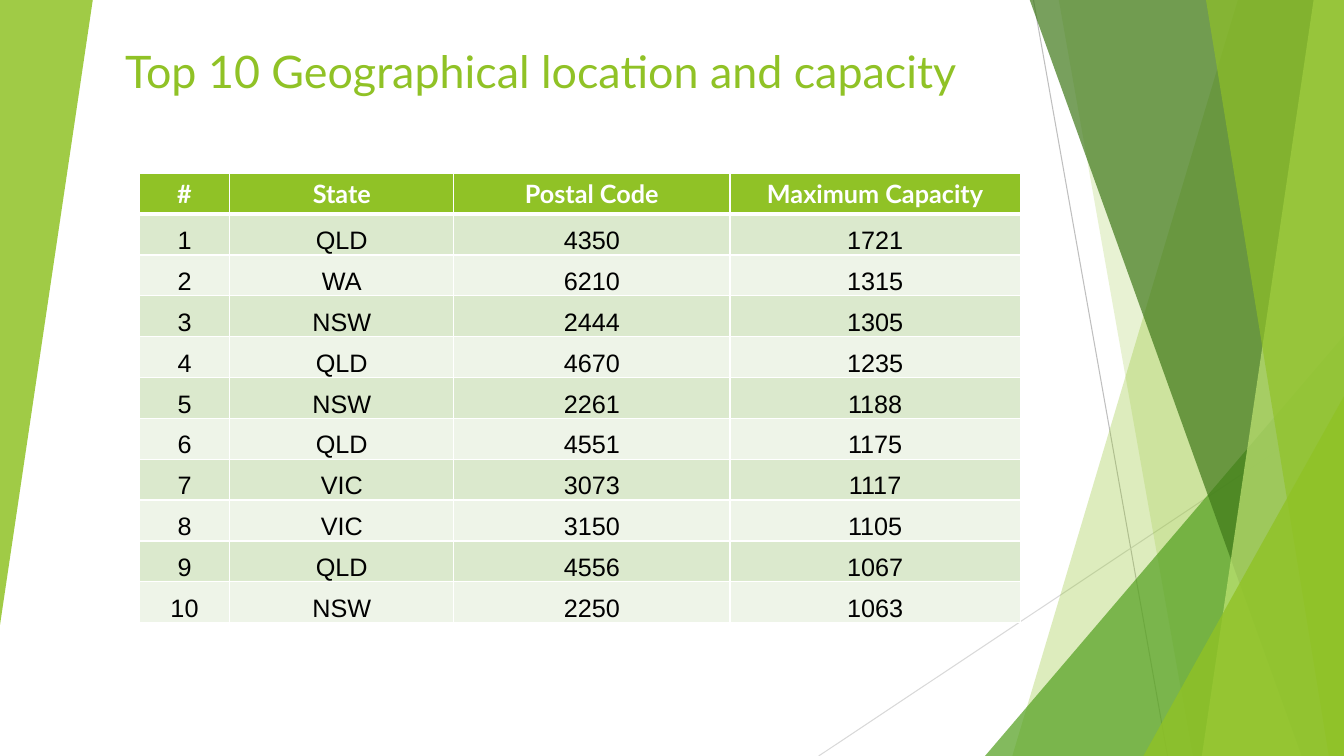
"""Build a slide with the top ten locations by maximum capacity."""
from lxml.etree import SubElement
from pptx import Presentation
from pptx.dml.color import RGBColor
from pptx.enum.shapes import MSO_CONNECTOR, MSO_SHAPE
from pptx.enum.text import MSO_ANCHOR, MSO_AUTO_SIZE, PP_ALIGN
from pptx.oxml.ns import qn
from pptx.util import Inches, Pt

GREEN = "90C226"
WIDTH, HEIGHT = 13.33, 7.5


def paint(target, colour, opacity=100):
    """Give a fill a solid colour with an opacity in percent."""
    target.solid()
    target.fore_color.rgb = RGBColor.from_string(colour)
    if opacity < 100:
        solid = target._xPr.find(qn("a:solidFill"))
        SubElement(solid[0], qn("a:alpha"), val=str(opacity * 1000))


deck = Presentation()
deck.slide_width, deck.slide_height = Inches(WIDTH), Inches(HEIGHT)
slide = deck.slides.add_slide(deck.slide_layouts[5])
shapes = slide.shapes

rays = [
    (10.25, 0, 11.58, HEIGHT, "BFBFBF"),
    (WIDTH, 4.03, 8.12, HEIGHT, "D9D9D9"),
]
for x1, y1, x2, y2, colour in rays:
    ray = shapes.add_connector(
        MSO_CONNECTOR.STRAIGHT, Inches(x1), Inches(y1), Inches(x2), Inches(y2))
    paint(ray.line.fill, colour)
    ray.line.width = Pt(0.75)
    SubElement(ray._element.spPr, qn("a:effectLst"))

facets = [
    ("panel", (12.28, 10.04), GREEN, 30),
    ("panel", (10.5, 11.83), GREEN, 20),
    ("triangle", (9.77, 3.33, 3.56, 4.17, 0), "54A021", 72),
    ("panel", (10.21, 12.91), "3F7819", 70),
    ("panel", (13.03, 11.92), "C0E474", 70),
    ("panel", (11.96, 13.18), GREEN, 65),
    ("triangle", (11.34, 3.93, 1.99, 3.57, 0), GREEN, 80),
    ("triangle", (0, 0, 0.92, 6.2, 180), GREEN, 85),
]
for kind, geometry, colour, opacity in facets:
    if kind == "panel":
        top_x, bottom_x = geometry
        outline = shapes.build_freeform(Inches(top_x), Inches(-0.01))
        corners = [(WIDTH, -0.01), (WIDTH, HEIGHT), (bottom_x, HEIGHT)]
        outline.add_line_segments([(Inches(x), Inches(y)) for x, y in corners])
        facet = outline.convert_to_shape()
    else:
        *box, rotation = geometry
        facet = shapes.add_shape(
            MSO_SHAPE.ISOSCELES_TRIANGLE, *[Inches(length) for length in box])
        facet.adjustments[0] = 1
        facet.rotation = rotation
    paint(facet.fill, colour, opacity)
    facet.line.fill.background()
    facet.shadow.inherit = False

locations = [
    ("QLD", 4350, 1721),
    ("WA", 6210, 1315),
    ("NSW", 2444, 1305),
    ("QLD", 4670, 1235),
    ("NSW", 2261, 1188),
    ("QLD", 4551, 1175),
    ("VIC", 3073, 1117),
    ("VIC", 3150, 1105),
    ("QLD", 4556, 1067),
    ("NSW", 2250, 1063),
]
rows = [("#", "State", "Postal Code", "Maximum Capacity")]
rows += [(rank, *location) for rank, location in enumerate(locations, 1)]
capacity = shapes.add_table(
    len(rows), 4, Inches(1.38), Inches(1.72), Inches(8.74), Inches(4.46)).table
for column, width in zip(capacity.columns, (0.9, 2.22, 2.74, 2.88)):
    column.width = Inches(width)

for r, row in enumerate(rows):
    header = r == 0
    for c, entry in enumerate(row):
        cell = capacity.cell(r, c)
        cell.text_frame.text = str(entry)
        paragraph = cell.text_frame.paragraphs[0]
        paragraph.alignment = PP_ALIGN.CENTER
        font = paragraph.runs[0].font
        font.size = Pt(18)
        font.name = "Lato" if header else "Arial"
        font.bold = header
        paint(font.fill, "FFFFFF" if header else "000000")
        if not header:
            cell.vertical_anchor = MSO_ANCHOR.BOTTOM
            cell.margin_left = cell.margin_right = cell.margin_top = Inches(0.01)
            cell.margin_bottom = 0
        properties = cell._tc.get_or_add_tcPr()
        for side in ("lnL", "lnR", "lnT", "lnB"):
            thick = (r, side) in [(0, "lnB"), (1, "lnT")]
            border = SubElement(
                properties, qn(f"a:{side}"), w=str(Pt(3 if thick else 1)))
            SubElement(SubElement(border, qn("a:solidFill")),
                       qn("a:srgbClr"), val="FFFFFF")
        paint(cell.fill, GREEN if header else ("EEF4E8", "DBE9CD")[r % 2])

title = shapes.title
title.left, title.top = Inches(1.14), Inches(0.38)
title.width, title.height = Inches(8.74), Inches(0.64)
title.text_frame.text = "Top 10 Geographical location and capacity"
title.text_frame.word_wrap = True
title.text_frame.auto_size = MSO_AUTO_SIZE.SHAPE_TO_FIT_TEXT
title.text_frame.vertical_anchor = MSO_ANCHOR.TOP
heading = title.text_frame.paragraphs[0]
heading.alignment = PP_ALIGN.LEFT
heading.runs[0].font.size = Pt(32)
heading.runs[0].font.name = "Lato"
paint(heading.runs[0].font.fill, GREEN)

deck.save("out.pptx")
